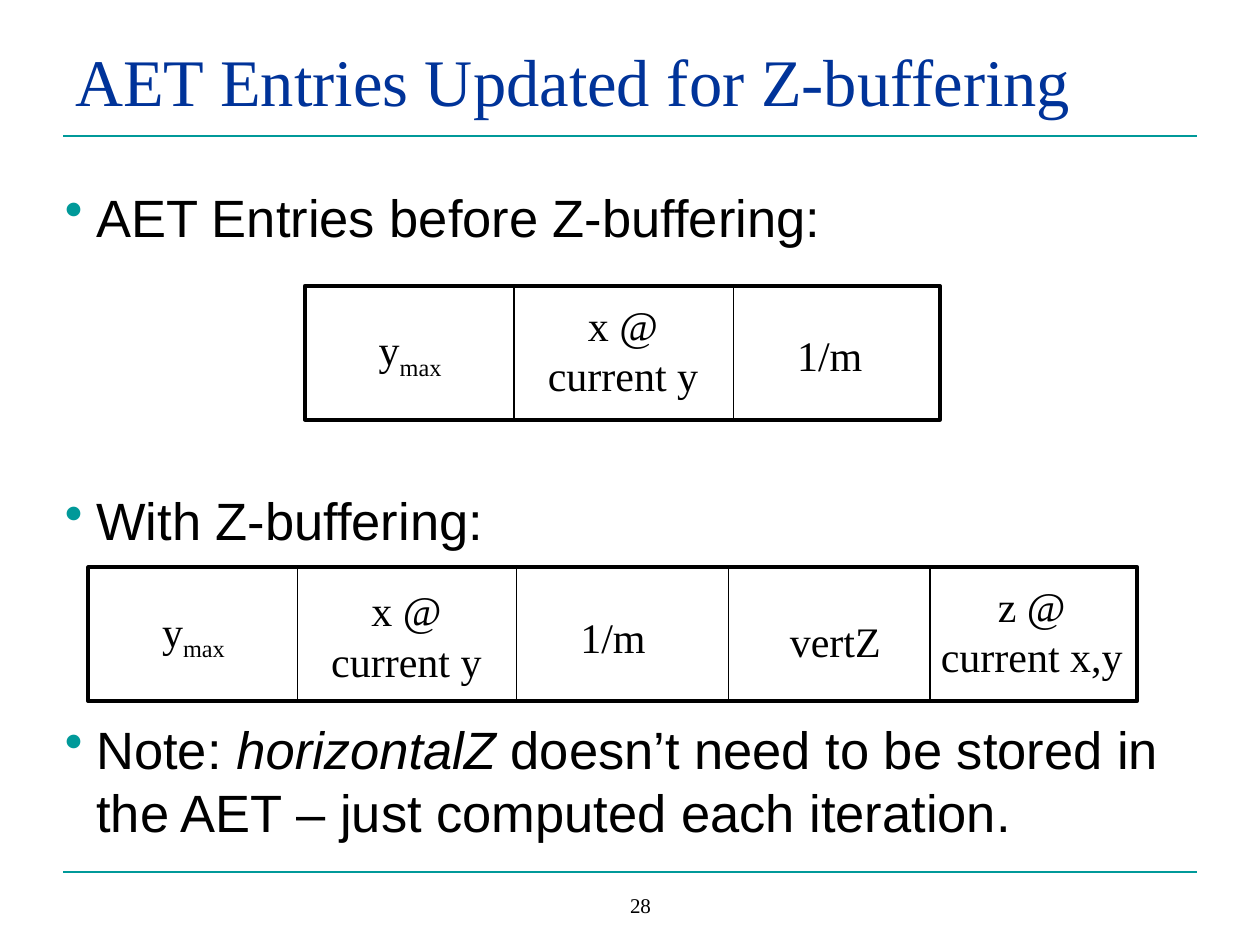
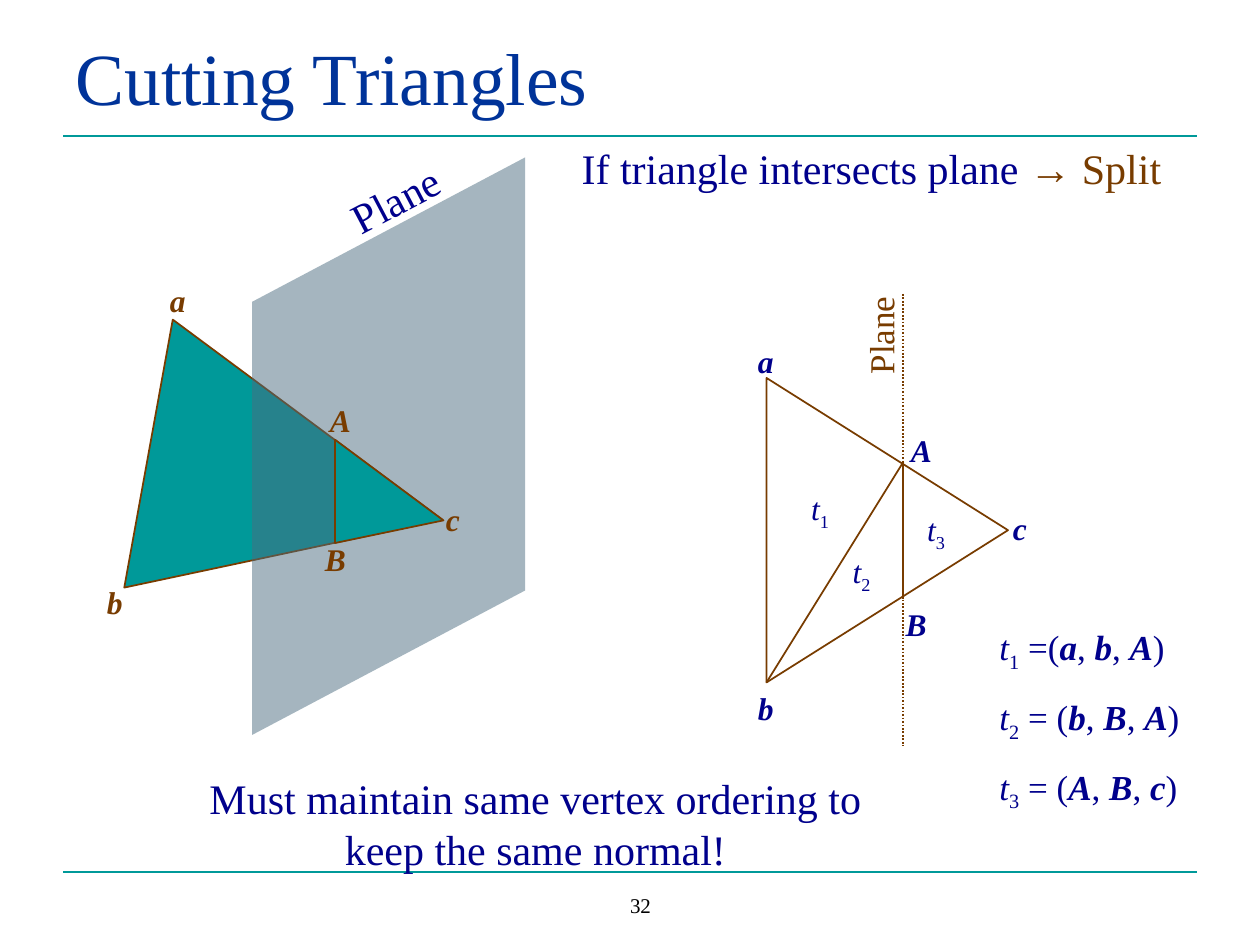
import dataclasses
import typing

import lxml.etree
import pptx
import pptx.dml.color
import pptx.enum.dml
import pptx.enum.shapes
import pptx.enum.text
import pptx.oxml.ns
import pptx.util

Pt = pptx.util.Pt
RGBColor = pptx.dml.color.RGBColor
SHAPES = pptx.enum.shapes.MSO_SHAPE
ALIGN = pptx.enum.text.PP_ALIGN
ANCHOR = pptx.enum.text.MSO_ANCHOR
AUTO_SIZE = pptx.enum.text.MSO_AUTO_SIZE
qn = pptx.oxml.ns.qn

BLACK = RGBColor(0x00, 0x00, 0x00)
TEAL = RGBColor(0x00, 0x99, 0x99)
TITLE_BLUE = RGBColor(0x00, 0x33, 0x99)
NAVY = RGBColor(0x00, 0x00, 0x8C)
BROWN = RGBColor(0x78, 0x3C, 0x00)
PLANE_GRAY = RGBColor(0x4C, 0x6D, 0x80)
SERIF = "Times New Roman"
SANS = "Arial"
VERTEX_WIDTHS = {"a": 23, "b": 23, "c": 22.3, "A": 25.9, "B": 25.9}


@dataclasses.dataclass
class Run:
    text: str
    bold: bool = False
    italic: bool = False
    subscript: bool = False
    color: typing.Optional[RGBColor] = None
    font: typing.Optional[str] = None


@dataclasses.dataclass
class Style:
    size: float
    color: RGBColor = BLACK
    font: str = SERIF
    align: typing.Any = ALIGN.LEFT


def add_run(paragraph, part, style):
    run = paragraph.add_run()
    run.text = part.text
    run.font.size = Pt(style.size)
    run.font.name = part.font or style.font
    run.font.color.rgb = part.color or style.color
    run.font.bold = part.bold
    run.font.italic = part.italic
    if part.subscript:
        run._r.get_or_add_rPr().set("baseline", "-25000")


def add_text(shapes, box, paragraphs, style, wrap=True, anchor=ANCHOR.TOP, rotation=0):
    shape = shapes.add_textbox(*map(Pt, box))
    shape.rotation = rotation
    frame = shape.text_frame
    frame.word_wrap = wrap
    frame.vertical_anchor = anchor
    if not wrap:
        frame.auto_size = AUTO_SIZE.SHAPE_TO_FIT_TEXT
    for index, parts in enumerate(paragraphs):
        paragraph = frame.paragraphs[0] if index == 0 else frame.add_paragraph()
        paragraph.alignment = style.align
        for part in parts:
            add_run(paragraph, part, style)
    return frame


def add_line(shapes, start, end, color, width, dash=None):
    line = shapes.add_connector(
        pptx.enum.shapes.MSO_CONNECTOR.STRAIGHT, *map(Pt, start + end))
    line.line.color.rgb = color
    line.line.width = Pt(width)
    if dash:
        line.line.dash_style = dash
    lxml.etree.SubElement(line._element.spPr, qn("a:effectLst"))


def paint(shape, fill=None, outline=None, width=1):
    shape.shadow.inherit = False
    if fill is None:
        shape.fill.background()
    else:
        shape.fill.solid()
        shape.fill.fore_color.rgb = fill
    if outline is None:
        shape.line.fill.background()
    else:
        shape.line.color.rgb = outline
        shape.line.width = Pt(width)


def add_preset(shapes, kind, box, rotation=0, adjustment=None, **colors):
    shape = shapes.add_shape(kind, *map(Pt, box))
    shape.rotation = rotation
    if adjustment is not None:
        shape.adjustments[0] = adjustment
    paint(shape, **colors)
    return shape


def add_base_slide(presentation, title, title_size, number):
    slide = presentation.slides.add_slide(presentation.slide_layouts[6])
    for y in (498.2, 77.8):
        add_line(slide.shapes, (36, y), (684, y), TEAL, 1)
    add_text(slide.shapes, (282, 504, 168, 24), [[Run(number)]],
             Style(12, align=ALIGN.CENTER), anchor=ANCHOR.BOTTOM)
    add_text(slide.shapes, (36, 21.6, 648, 50.4), [[Run(title)]],
             Style(title_size, TITLE_BLUE), anchor=ANCHOR.BOTTOM)
    return slide


def add_bullets(shapes, box, bullets):
    frame = add_text(shapes, box, [parts for parts, _ in bullets], Style(30, font=SANS))
    for paragraph, (_, gap) in zip(frame.paragraphs, bullets):
        paragraph.space_before = Pt(gap)
        properties = paragraph._p.get_or_add_pPr()
        properties.set("marL", str(Pt(18)))
        properties.set("indent", str(Pt(-18)))
        color = lxml.etree.SubElement(properties, qn("a:buClr"))
        lxml.etree.SubElement(color, qn("a:srgbClr")).set("val", str(TEAL))
        lxml.etree.SubElement(properties, qn("a:buChar")).set("char", "•")


def add_record(shapes, left, top, width, dividers, fields):
    height = 76.4
    add_preset(shapes, SHAPES.RECTANGLE, (left, top, width, height),
               outline=BLACK, width=2.25)
    for offset in dividers:
        x = left + offset
        add_line(shapes, (x, top), (x, top + height), BLACK, 0.75)
    for paragraphs, (x, y, field_width, field_height) in fields:
        add_text(shapes, (left + x, top + y, field_width, field_height), paragraphs,
                 Style(24, align=ALIGN.CENTER), wrap=False)


def edge_fields(x_top):
    return [
        ([[Run("y"), Run("max", subscript=True)]], (35, 18, 50.4, 40.3)),
        ([[Run("x @")], [Run("current y")]], (126.8, x_top, 110, 64.8)),
        ([[Run("1/m")]], (274, 21.6, 51.8, 36)),
    ]


def add_vertices(shapes, color, places):
    for name, (left, top) in places.items():
        add_text(shapes, (left, top, VERTEX_WIDTHS[name], 29),
                 [[Run(name, bold=True, italic=True)]], Style(18, color), wrap=False)


def triangle_name(index):
    return [Run("t", italic=True), Run(str(index), subscript=True)]


def triangle_definition(index, equals, vertices):
    parts = triangle_name(index) + [Run(equals)]
    for position, vertex in enumerate(vertices):
        if position:
            parts.append(Run(", "))
        parts.append(Run(vertex, bold=True, italic=True))
    return parts + [Run(")")]


def add_split_diagram(shapes):
    plane_x, cut_top, cut_bottom = 516.2, 264, 342
    add_line(shapes, (plane_x, 168), (plane_x, 426), BROWN, 1,
             pptx.enum.dml.MSO_LINE.ROUND_DOT)
    add_preset(shapes, SHAPES.ISOSCELES_TRIANGLE, (420, 234, 174, 138),
               rotation=90, adjustment=0.5, outline=BROWN)
    add_line(shapes, (438, 390), (plane_x, cut_top), BROWN, 1)
    add_line(shapes, (plane_x, cut_top), (plane_x, cut_bottom), BROWN, 1)
    add_vertices(shapes, NAVY, {
        "b": (426, 390), "a": (426, 192), "A": (513.4, 242.6),
        "B": (510.5, 342), "c": (571.7, 287.3)})
    for index, place in enumerate([(456.5, 275.8), (480.2, 311.8), (522.7, 288)], 1):
        add_text(shapes, place + (24.5, 31.7), [triangle_name(index)],
                 Style(18, NAVY), wrap=False)
    add_text(shapes, (473.8, 175.7, 59, 31.7), [[Run("Plane")]],
             Style(20, BROWN), wrap=False, rotation=270)


def add_plane_diagram(shapes):
    add_preset(shapes, SHAPES.ISOSCELES_TRIANGLE, (54, 174, 186, 144),
               rotation=348, adjustment=0.317, fill=TEAL, outline=BROWN)
    plane = add_preset(shapes, SHAPES.PARALLELOGRAM, (57, 177, 330, 156),
                       rotation=270, adjustment=0.529, fill=PLANE_GRAY)
    plane._element.spPr.find(qn("a:xfrm")).set("flipH", "1")
    fill_color = plane._element.spPr.find(qn("a:solidFill"))[0]
    lxml.etree.SubElement(fill_color, qn("a:alpha")).set("val", "50000")
    corner, *others = [(Pt(x), Pt(y)) for x, y in
                       [(253.4, 297.4), (191.5, 310.3), (191.5, 251.3)]]
    builder = shapes.build_freeform(*corner)
    builder.add_line_segments(others, close=True)
    paint(builder.convert_to_shape(), fill=TEAL, outline=BROWN)
    add_vertices(shapes, BROWN, {
        "a": (90, 157), "b": (54, 329.8), "B": (178.6, 305.3),
        "c": (247.7, 282.2), "A": (181.4, 225.4)})
    add_text(shapes, (192.2, 95.8, 67.7, 36), [[Run("Plane")]],
             Style(24, NAVY), wrap=False, rotation=332.3)


def build_entries_slide(presentation):
    slide = add_base_slide(presentation, "AET Entries Updated for Z-buffering", 38, "28")
    add_bullets(slide.shapes, (30, 102, 654, 381), [
        ([Run("AET Entries before Z-buffering:")], 7.5),
        ([Run("With Z-buffering:")], 137.5),
        ([Run("Note: "), Run("horizontalZ", italic=True),
          Run(" doesn’t need to be stored in the AET – just computed each iteration.")],
         94.5),
    ])
    dividers = [119.5, 244.8, 365.8, 481]
    add_record(slide.shapes, 174.2, 163.4, 363, dividers[:2], edge_fields(4))
    add_record(slide.shapes, 50.4, 324.2, 599.5, dividers, edge_fields(6.5) + [
        ([[Run("vertZ")]], (393.8, 23.8, 66.2, 36)),
        ([[Run("z @")], [Run("current x,y")]], (475.2, 4, 128, 64.8)),
    ])


def build_cutting_slide(presentation):
    slide = add_base_slide(presentation, "Cutting Triangles", 42, "32")
    centred = Style(24, NAVY, align=ALIGN.CENTER)
    add_text(slide.shapes, (108, 438, 396, 64.8),
             [[Run("Must maintain same vertex ordering to keep the same normal!")]], centred)
    definitions = add_text(slide.shapes, (564, 354, 132, 114.5), [
        triangle_definition(1, " =(", "abA"),
        triangle_definition(2, " = (", "bBA"),
        triangle_definition(3, " = (", "ABc"),
    ], Style(20, NAVY))
    for paragraph in definitions.paragraphs:
        paragraph.space_before = Pt(12.5)
    add_split_diagram(slide.shapes.add_group_shape().shapes)
    add_plane_diagram(slide.shapes.add_group_shape().shapes)
    add_text(slide.shapes, (300, 78, 396, 36), [[
        Run("If triangle intersects plane "),
        Run("→", color=BROWN, font=SANS),
        Run(" Split", color=BROWN),
    ]], centred)


def main():
    presentation = pptx.Presentation()
    presentation.slide_width = Pt(720)
    presentation.slide_height = Pt(540)
    build_entries_slide(presentation)
    build_cutting_slide(presentation)
    presentation.save("out.pptx")


if __name__ == "__main__":
    main()
